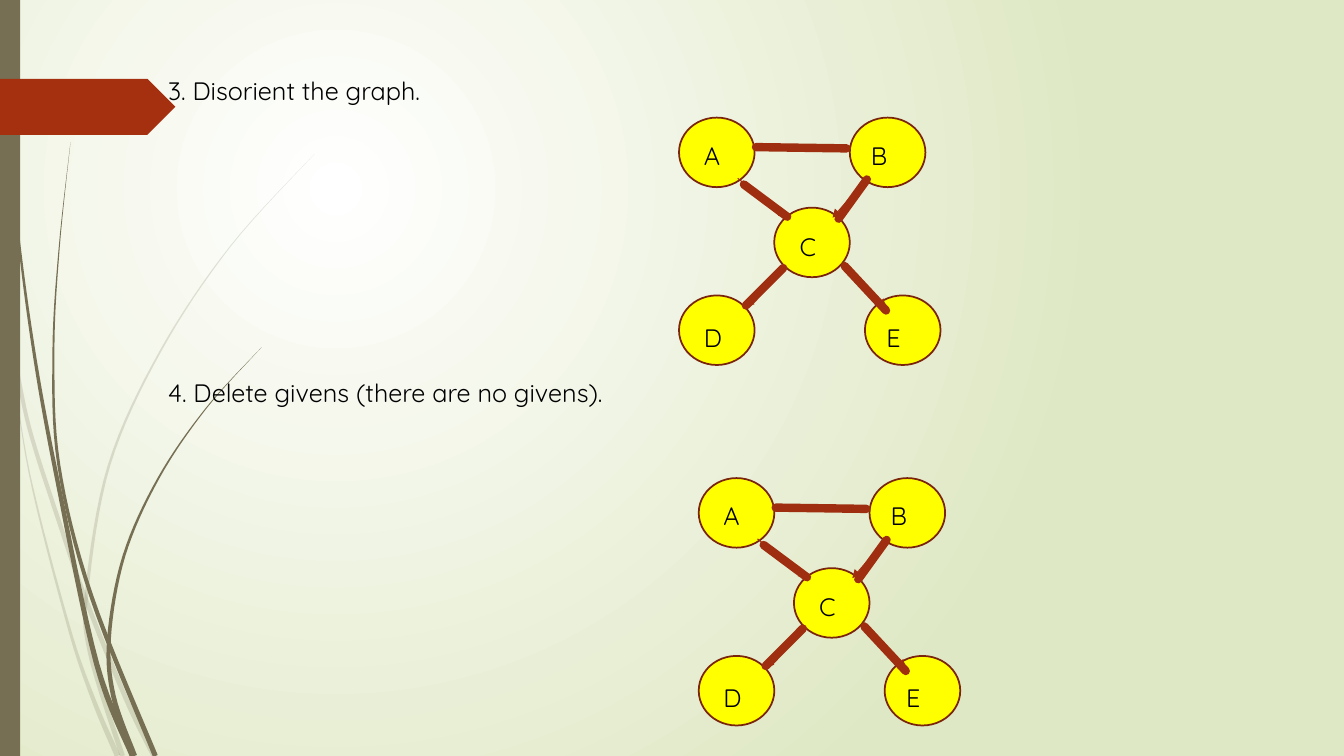
from math import hypot

from lxml.etree import SubElement
from pptx import Presentation
from pptx.dml.color import RGBColor
from pptx.enum.shapes import MSO_CONNECTOR, MSO_SHAPE
from pptx.oxml.ns import qn
from pptx.util import Pt

WHITE = RGBColor(0xFF, 0xFF, 0xFF)
PALE_GREEN = RGBColor(0xDF, 0xE8, 0xC4)
OLIVE = RGBColor(0x76, 0x6F, 0x54)
RED = RGBColor(0xA5, 0x30, 0x10)
EDGE_RED = RGBColor(0x9E, 0x2E, 0x0F)
NODE_RED = RGBColor(0x7A, 0x24, 0x0C)
YELLOW = RGBColor(0xFF, 0xFF, 0x00)
BLACK = RGBColor(0, 0, 0)
FONT = {"name": "Quicksand", "size": Pt(18)}

# Each wisp: width at its tip, width at its root, points its middle line passes
PALE_WISPS = [
    (2.5, 3.6, [(0, 209), (9.5, 250), (21, 306), (43, 375), (62, 430), (90, 499), (110, 540)]),
    (0, 4, [(8, 252), (21, 338), (48.6, 446), (66.5, 499), (84, 540)]),
    (0, 3.6, [(224.6, 110), (164.5, 176), (114.5, 251), (78, 332), (62.3, 420), (64, 465),
              (87.5, 540)]),
]
DARK_WISPS = [
    (0, 4.5, [(2.5, 0), (5.5, 79), (13, 167), (25, 256), (41, 343), (69, 474), (95, 540)]),
    (0, 3.6, [(50.4, 101.5), (42.4, 176), (38.2, 251), (42, 332), (65, 425), (111, 540)]),
    (0, 4, [(187, 248), (147, 292), (113, 342), (88.6, 397), (78, 455), (81, 497), (96, 540)]),
]
STEPS = 8  # samples between two neighbouring points of a wisp

# One graph, in points, at its upper place
NODES = {"A": (485, 84), "B": (607, 84), "C": (553, 148.3),
         "D": (485, 211), "E": (617.8, 211)}
LETTER_ROWS = [{"A": 24.6, "B": 144}, {"C": 93}, {"D": 24.6, "E": 155}]
ARROWS = {"AC": (527, 127.4, 562.3, 155.5), "BC": (619.2, 127.4, 594.7, 155.5),
          "CD": (558.7, 191.5, 532.8, 219.6), "CE": (603.4, 187.2, 632.9, 219.6)}
EDGES = {"AB": (540, 105.1, 604.8, 106), "AC": (531.4, 131.8, 562.3, 154.8),
         "CB": (599, 156.2, 619.2, 128.2), "DC": (532.8, 218.2, 559.4, 191.5),
         "CE": (603.4, 190.1, 632.9, 221.8)}
GRAPH_SHIFTS = {"disoriented": (0, 0), "without givens": (14.1, 257.5)}


def smooth_curve(knots):
    """Return points on a Catmull-Rom curve that passes through all knots."""
    padded = [knots[0], *knots, knots[-1]]
    curve = []
    for span in zip(padded, padded[1:], padded[2:], padded[3:]):
        for step in range(STEPS):
            t = step / STEPS
            curve.append([
                b + t * (c - a) / 2 + t**2 * (2 * a - 5 * b + 4 * c - d) / 2
                + t**3 * (3 * b - a - 3 * c + d) / 2
                for a, b, c, d in zip(*span)])
    return curve + [knots[-1]]


def add_text(p, text):
    r = p.add_run()
    r.text = text
    for name, value in FONT.items():
        setattr(r.font, name, value)
    r.font.color.rgb = BLACK


prs = Presentation()
prs.slide_width, prs.slide_height = Pt(960), Pt(540)
s = prs.slides.add_slide(prs.slide_layouts[6])

# Background glow centred in the upper left quarter
fill = s.background.fill
fill.gradient()
for stop, color in zip(fill.gradient_stops, (WHITE, PALE_GREEN)):
    stop.color.rgb = color
lin = s.element.find(".//" + qn("a:lin"))
grad = lin.getparent()
grad.remove(lin)
glow = SubElement(grad, qn("a:path"), path="circle")
SubElement(glow, qn("a:fillToRect"), l="50000", t="50000", r="100000", b="100000")

# Wisps: two sides offset from the middle line, widening from tip to root
for wisps, opacity in ((PALE_WISPS, 20), (DARK_WISPS, 100)):
    group = s.shapes.add_group_shape()
    for tip_width, root_width, knots in wisps:
        curve = smooth_curve(knots)
        last = len(curve) - 1
        left, right = [], []
        for i, (x, y) in enumerate(curve):
            (x1, y1), (x2, y2) = curve[max(i - 1, 0)], curve[min(i + 1, last)]
            half = (tip_width + (root_width - tip_width) * i / last) / 2
            length = hypot(x2 - x1, y2 - y1)
            nx, ny = (y1 - y2) / length * half, (x2 - x1) / length * half
            left.append((Pt(x + nx), Pt(y + ny)))
            right.append((Pt(x - nx), Pt(y - ny)))
        outline = left + right[::-1]
        builder = group.shapes.build_freeform(*outline[0])
        builder.add_line_segments(outline[1:], close=True)
        wisp = builder.convert_to_shape()
        wisp.fill.solid()
        wisp.fill.fore_color.rgb = OLIVE
        wisp.line.fill.background()
        wisp.shadow.inherit = False
        if opacity < 100:
            clr = wisp.element.spPr.find(".//" + qn("a:srgbClr"))
            SubElement(clr, qn("a:alpha"), val=str(opacity * 1000))

# Side bar and tag
for kind, top, width, height, color in (
        (MSO_SHAPE.RECTANGLE, 0, 14.4, 540, OLIVE),
        (MSO_SHAPE.PENTAGON, 56.3, 125.3, 40, RED)):
    sp = s.shapes.add_shape(kind, 0, Pt(top), Pt(width), Pt(height))
    sp.fill.solid()
    sp.fill.fore_color.rgb = color
    sp.line.fill.background()
    sp.shadow.inherit = False

# Steps
tf = s.shapes.add_textbox(Pt(113), Pt(50.4), Pt(781), Pt(247)).text_frame
tf.word_wrap = True
add_text(tf.paragraphs[0], "3. Disorient the graph.")
p = tf.add_paragraph()
p.space_before = Pt(194)
add_text(p, "4. Delete givens (there are no givens).")

# Graphs
for dx, dy in GRAPH_SHIFTS.values():
    group = s.shapes.add_group_shape()
    for x, y in NODES.values():
        node = group.shapes.add_shape(
            MSO_SHAPE.OVAL, Pt(x + dx), Pt(y + dy), Pt(54), Pt(49.7))
        node.fill.solid()
        node.fill.fore_color.rgb = YELLOW
        node.line.color.rgb = NODE_RED
        node.line.width = Pt(1.25)
        node.shadow.inherit = False

    tf = group.shapes.add_textbox(
        Pt(471 + dx), Pt(75 + dy), Pt(256), Pt(181.4)).text_frame
    tf.word_wrap = True
    tf.margin_top = Pt(25.2)
    for i, row in enumerate(LETTER_ROWS):
        p = tf.add_paragraph() if i else tf.paragraphs[0]
        tabs = SubElement(p._p.get_or_add_pPr(), qn("a:tabLst"))
        for pos in row.values():
            SubElement(tabs, qn("a:tab"), pos=str(Pt(pos)), algn="l")
        if i:
            p.space_before = Pt(43.4)
        add_text(p, "".join("\t" + letter for letter in row))

    for links, width in ((ARROWS, 0.75), (EDGES, 6)):
        for x1, y1, x2, y2 in links.values():
            c = group.shapes.add_connector(
                MSO_CONNECTOR.STRAIGHT,
                Pt(x1 + dx), Pt(y1 + dy), Pt(x2 + dx), Pt(y2 + dy))
            c.line.color.rgb = EDGE_RED
            c.line.width = Pt(width)
            ln = c.element.spPr.find(qn("a:ln"))
            if links is ARROWS:
                SubElement(ln, qn("a:tailEnd"), type="triangle")
            else:
                ln.set("cap", "rnd")
            SubElement(c.element.spPr, qn("a:effectLst"))

prs.save("out.pptx")
